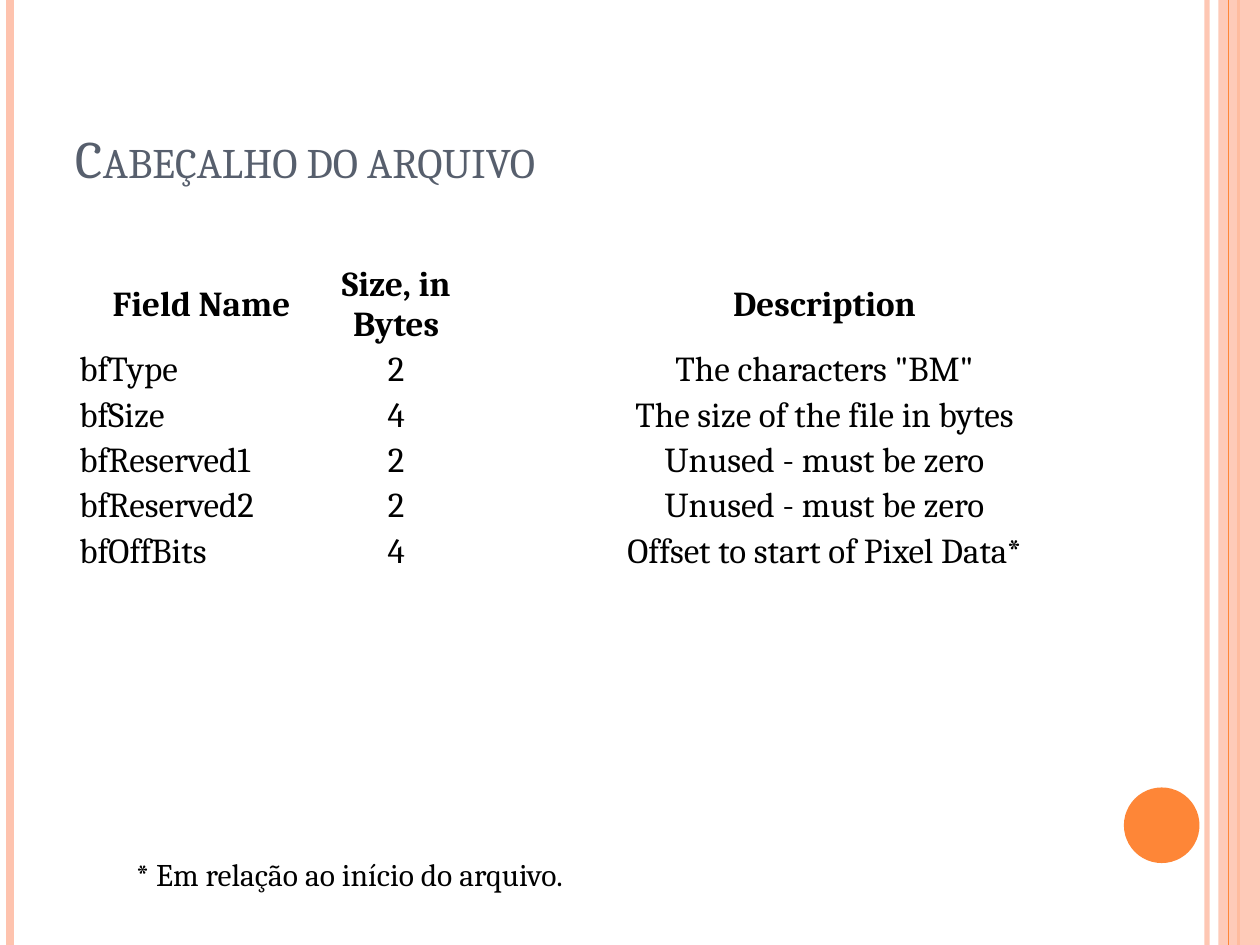
from lxml import etree
from pptx import Presentation
from pptx.dml.color import RGBColor
from pptx.enum import shapes, text
from pptx.oxml import ns
from pptx.util import Inches, Pt

ORANGE = RGBColor(0xFE, 0x86, 0x37)
PEACH = RGBColor(0xFE, 0xC3, 0xAE)
SLATE = RGBColor(0x57, 0x5F, 0x6D)
BLACK = RGBColor(0, 0, 0)
WHITE = RGBColor(0xFF, 0xFF, 0xFF)

FONT = "Cambria"
SLIDE_WIDTH, SLIDE_HEIGHT = 10, 7.5
COLUMN_WIDTHS = (1.98, 1.11, 5.69)
HEADER_HEIGHT, ROW_HEIGHT = 0.65, 0.35
CELL_MARGIN = 0.02
FIELDS = (
    ("Field Name", "Size, in Bytes", "Description"),
    ("bfType", "2", 'The characters "BM"'),
    ("bfSize", "4", "The size of the file in bytes"),
    ("bfReserved1", "2", "Unused - must be zero"),
    ("bfReserved2", "2", "Unused - must be zero"),
    ("bfOffBits", "4", "Offset to start of Pixel Data*"),
)


def set_attributes(target, values):
    for name, value in values.items():
        setattr(target, name, value)


def add_child(parent, tag, **attributes):
    return etree.SubElement(parent, ns.qn(tag), attributes)


def set_opacity(fill_parent, percent):
    """Make the solid colour inside the given XML element translucent."""
    color = fill_parent.find(".//" + ns.qn("a:srgbClr"))
    add_child(color, "a:alpha", val=str(percent * 1000))


def write(paragraph, words, size, color, bold=False, align=text.PP_ALIGN.LEFT):
    paragraph.alignment = align
    span = paragraph.add_run()
    span.text = words
    set_attributes(span.font, {"name": FONT, "size": Pt(size), "bold": bold})
    span.font.color.rgb = color
    return span


def add_stripe(page, x, width, color, opacity=100):
    """Draw a vertical line over the whole height of the slide."""
    stripe = page.shapes.add_connector(
        shapes.MSO_CONNECTOR.STRAIGHT,
        Inches(x), 0, Inches(x), Inches(SLIDE_HEIGHT))
    stripe.line.width = Pt(width)
    stripe.line.color.rgb = color
    properties = stripe._element.spPr
    if opacity < 100:
        set_opacity(properties, opacity)
    add_child(properties, "a:effectLst")


def add_plain_shape(page, kind, left, top, width, height, color):
    shape = page.shapes.add_shape(
        kind, Inches(left), Inches(top), Inches(width), Inches(height))
    shape.shadow.inherit = False
    shape.fill.solid()
    shape.fill.fore_color.rgb = color
    shape.line.fill.background()
    return shape


def add_decoration(page):
    add_stripe(page, 9.58, 3, PEACH, opacity=93)
    add_stripe(page, 0.08, 4.5, PEACH)
    add_stripe(page, 9.83, 1.5, ORANGE)
    band = add_plain_shape(page, shapes.MSO_SHAPE.RECTANGLE,
                           9.67, 0, 0.33, SLIDE_HEIGHT, PEACH)
    set_opacity(band._element.spPr, 87)
    add_stripe(page, 9.75, 0.75, ORANGE)
    add_plain_shape(page, shapes.MSO_SHAPE.OVAL, 8.92, 6.25, 0.6, 0.6, ORANGE)


def fill_title(page, words):
    title = page.shapes.title
    set_attributes(title, {"left": Inches(0.5), "top": Inches(0.3),
                           "width": Inches(8.17), "height": Inches(1.25)})
    set_attributes(title.text_frame, {
        "vertical_anchor": text.MSO_ANCHOR.BOTTOM, "word_wrap": True,
        "auto_size": text.MSO_AUTO_SIZE.NONE})
    span = write(title.text_frame.paragraphs[0], words, 30, SLATE)
    span.font._element.set("cap", "small")


def format_cell(cell):
    margins = ("margin_left", "margin_right", "margin_top", "margin_bottom")
    set_attributes(cell, dict.fromkeys(margins, Inches(CELL_MARGIN)))
    cell.vertical_anchor = text.MSO_ANCHOR.MIDDLE
    properties = cell._tc.get_or_add_tcPr()
    for side in ("a:lnL", "a:lnR", "a:lnT", "a:lnB"):
        border = add_child(properties, side, w=str(Pt(0.75)))
        add_child(add_child(border, "a:solidFill"), "a:srgbClr", val=str(WHITE))
    cell.fill.background()


def add_field_table(page):
    heights = [HEADER_HEIGHT] + [ROW_HEIGHT] * (len(FIELDS) - 1)
    table = page.shapes.add_table(
        len(FIELDS), len(COLUMN_WIDTHS), Inches(0.61), Inches(2.08),
        Inches(sum(COLUMN_WIDTHS)), Inches(sum(heights))).table
    set_attributes(table, {"first_row": False, "horz_banding": False})
    for column, width in zip(table.columns, COLUMN_WIDTHS):
        column.width = Inches(width)
    for row, height, values in zip(table.rows, heights, FIELDS):
        row.height = Inches(height)
        is_header = values is FIELDS[0]
        for index, (cell, value) in enumerate(zip(row.cells, values)):
            format_cell(cell)
            centered = is_header or index > 0
            align = text.PP_ALIGN.CENTER if centered else text.PP_ALIGN.LEFT
            write(cell.text_frame.paragraphs[0], value, 20, BLACK,
                  is_header, align)


def add_footnote(page, words):
    box = page.shapes.add_textbox(
        Inches(0.98), Inches(6.74), Inches(4.12), Inches(0.4))
    set_attributes(box.text_frame, {
        "word_wrap": False,
        "auto_size": text.MSO_AUTO_SIZE.SHAPE_TO_FIT_TEXT})
    write(box.text_frame.paragraphs[0], words, 18, BLACK)


def main():
    deck = Presentation()
    set_attributes(deck, {"slide_width": Inches(SLIDE_WIDTH),
                          "slide_height": Inches(SLIDE_HEIGHT)})
    title_only = deck.slide_layouts[5]
    page = deck.slides.add_slide(title_only)
    add_decoration(page)
    fill_title(page, "Cabeçalho do arquivo")
    add_field_table(page)
    add_footnote(page, "* Em relação ao início do arquivo.")
    deck.save("out.pptx")


if __name__ == "__main__":
    main()
